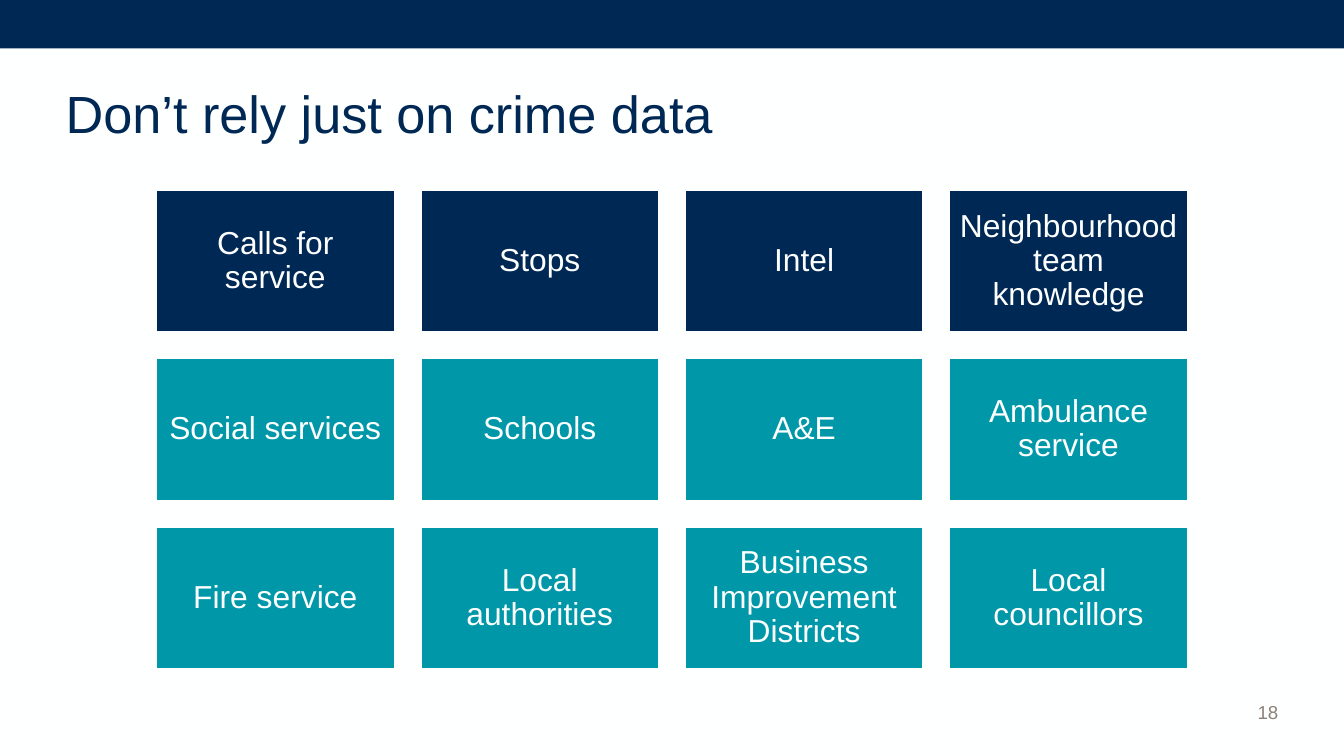
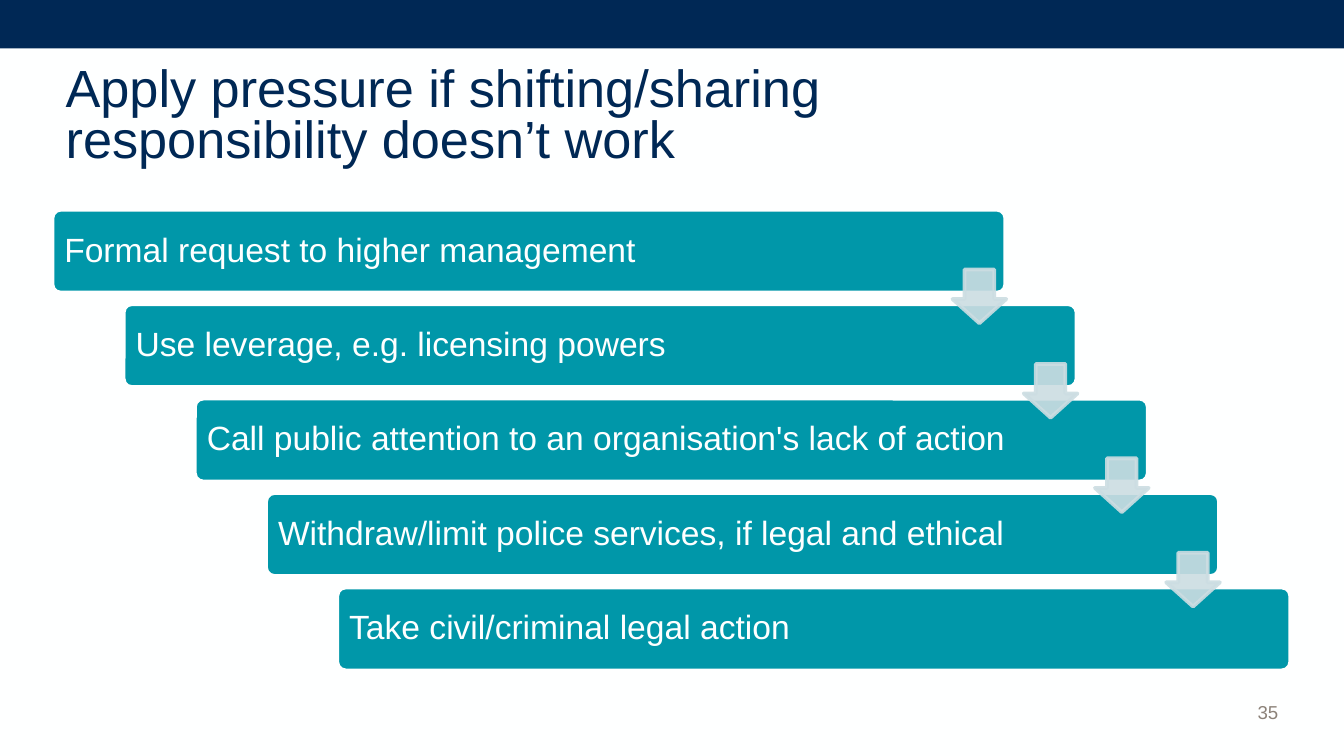
from dataclasses import dataclass
from typing import Optional

from lxml import etree
from pptx import Presentation
from pptx.dml.color import RGBColor
from pptx.enum.shapes import MSO_SHAPE
from pptx.enum.text import MSO_ANCHOR, PP_ALIGN
from pptx.oxml.ns import qn
from pptx.util import Pt

RECT, ROUND_RECT = MSO_SHAPE.RECTANGLE, MSO_SHAPE.ROUNDED_RECTANGLE
DOWN_ARROW = MSO_SHAPE.DOWN_ARROW
LEFT, CENTER, RIGHT = PP_ALIGN.LEFT, PP_ALIGN.CENTER, PP_ALIGN.RIGHT
MIDDLE, BOTTOM = MSO_ANCHOR.MIDDLE, MSO_ANCHOR.BOTTOM


@dataclass(frozen=True)
class Theme:
    navy: RGBColor = RGBColor.from_string("002855")
    teal: RGBColor = RGBColor.from_string("0097A9")
    pale: RGBColor = RGBColor.from_string("CCDDE2")
    grey: RGBColor = RGBColor.from_string("8C8279")
    white: RGBColor = RGBColor.from_string("FEFFFF")
    font: str = "Arial"
    title_size: float = 28
    step_size: float = 18
    tile_size: float = 17
    number_size: float = 10
    line_width: float = 2


THEME = Theme()


@dataclass(frozen=True)
class Box:
    """A frame in points."""
    left: float
    top: float
    width: float
    height: float

    def shifted(self, dx: float, dy: float) -> "Box":
        return Box(self.left + dx, self.top + dy, self.width, self.height)

    def lengths(self) -> list:
        return [Pt(v) for v in (self.left, self.top, self.width, self.height)]


@dataclass(frozen=True)
class TextStyle:
    size: float
    color: RGBColor
    align: PP_ALIGN = LEFT
    anchor: MSO_ANCHOR = MIDDLE
    spacing: object = 0.9
    inset_x: float = 5.1
    inset_y: float = 5.1


@dataclass(frozen=True)
class ShapeStyle:
    kind: MSO_SHAPE
    fill: RGBColor
    line: Optional[RGBColor] = None
    adjustments: tuple = ()
    opacity: int = 100


TITLE_TEXT = TextStyle(THEME.title_size, THEME.navy, spacing=Pt(27),
                       inset_x=7.2, inset_y=3.6)
NUMBER_TEXT = TextStyle(THEME.number_size, THEME.grey, RIGHT, BOTTOM,
                        spacing=1.0, inset_x=7.2, inset_y=3.6)
TILE_TEXT = TextStyle(THEME.tile_size, THEME.white, CENTER)
STEP_TEXT = TextStyle(THEME.step_size, THEME.white)

BAND = ShapeStyle(RECT, THEME.navy)
POLICE_TILE = ShapeStyle(RECT, THEME.navy, THEME.white)
PARTNER_TILE = ShapeStyle(RECT, THEME.teal, THEME.white)
STEP = ShapeStyle(ROUND_RECT, THEME.teal, THEME.white, (0.1,))
STEP_ARROW = ShapeStyle(DOWN_ARROW, THEME.pale, THEME.pale, (0.55, 0.45), 90)

SLIDE_BOX = Box(0, 0, 720, 405)
BAND_BOX = Box(0, 0, 720, 26)
TITLE_BOX = Box(28.1, 28.1, 663.1, 70.6)
NUMBER_BOX = Box(635, 359.3, 56.9, 31.7)

FIRST_TILE = Box(83.2, 101.4, 128.7, 77.2)
TILE_GAP = 12.95
FIRST_STEP = Box(28.1, 112.4, 510.5, 44.4)
FIRST_ARROW = Box(510.3, 144.4, 28.8, 28.8)
STEP_DX, STEP_DY = 38.15, 50.6

DATA_SOURCES = (
    (POLICE_TILE, ("Calls for service", "Stops", "Intel",
                   "Neighbourhood team knowledge")),
    (PARTNER_TILE, ("Social services", "Schools", "A&E",
                    "Ambulance service")),
    (PARTNER_TILE, ("Fire service", "Local authorities",
                    "Business Improvement Districts", "Local councillors")),
)
PRESSURE_STEPS = (
    "Formal request to higher management",
    "Use leverage, e.g. licensing powers",
    "Call public attention to an organisation's lack of action",
    "Withdraw/limit police services, if legal and ethical",
    "Take civil/criminal legal action",
)


def apply(target, values: dict) -> None:
    for name, value in values.items():
        setattr(target, name, value)


def write(sp, text: str, style: TextStyle) -> None:
    tf = sp.text_frame
    apply(tf, {
        "word_wrap": True, "vertical_anchor": style.anchor,
        "margin_left": Pt(style.inset_x), "margin_right": Pt(style.inset_x),
        "margin_top": Pt(style.inset_y), "margin_bottom": Pt(style.inset_y),
    })
    p = tf.paragraphs[0]
    p.text = text
    apply(p, {"alignment": style.align, "line_spacing": style.spacing})
    for r in p.runs:
        apply(r.font, {"name": THEME.font, "size": Pt(style.size)})
        r.font.color.rgb = style.color


def add_text(slide, box: Box, text: str, style: TextStyle) -> None:
    write(slide.shapes.add_textbox(*box.lengths()), text, style)


def add_shape(slide, box: Box, style: ShapeStyle):
    sp = slide.shapes.add_shape(style.kind, *box.lengths())
    sp.shadow.inherit = False
    sp.fill.solid()
    sp.fill.fore_color.rgb = style.fill
    if style.line is None:
        sp.line.fill.background()
    else:
        sp.line.color.rgb = style.line
        sp.line.width = Pt(THEME.line_width)
    for i, value in enumerate(style.adjustments):
        sp.adjustments[i] = value
    if style.opacity < 100:
        for color in sp._element.spPr.iter(qn("a:srgbClr")):
            alpha = etree.SubElement(color, qn("a:alpha"))
            alpha.set("val", str(style.opacity * 1000))
    return sp


def add_slide(prs, title: str, number: int):
    """Add a slide with the shared background, band, title and number."""
    slide = prs.slides.add_slide(prs.slide_layouts[6])
    fill = slide.background.fill
    fill.solid()
    fill.fore_color.rgb = THEME.white
    add_shape(slide, BAND_BOX, BAND)
    add_text(slide, NUMBER_BOX, str(number), NUMBER_TEXT)
    add_text(slide, TITLE_BOX, title, TITLE_TEXT)
    return slide


def build_data_sources(prs) -> None:
    slide = add_slide(prs, "Don’t rely just on crime data", 18)
    dx, dy = FIRST_TILE.width + TILE_GAP, FIRST_TILE.height + TILE_GAP
    for row, (style, labels) in enumerate(DATA_SOURCES):
        for col, label in enumerate(labels):
            sp = add_shape(slide, FIRST_TILE.shifted(col * dx, row * dy), style)
            write(sp, label, TILE_TEXT)


def build_pressure_steps(prs) -> None:
    slide = add_slide(
        prs, "Apply pressure if shifting/sharing\vresponsibility doesn’t work", 35)
    for i, label in enumerate(PRESSURE_STEPS):
        sp = add_shape(slide, FIRST_STEP.shifted(i * STEP_DX, i * STEP_DY), STEP)
        write(sp, label, STEP_TEXT)
    for i in range(len(PRESSURE_STEPS) - 1):
        add_shape(slide, FIRST_ARROW.shifted(i * STEP_DX, i * STEP_DY), STEP_ARROW)


def main() -> None:
    prs = Presentation()
    apply(prs, {"slide_width": Pt(SLIDE_BOX.width),
                "slide_height": Pt(SLIDE_BOX.height)})
    build_data_sources(prs)
    build_pressure_steps(prs)
    prs.save("out.pptx")


if __name__ == "__main__":
    main()
